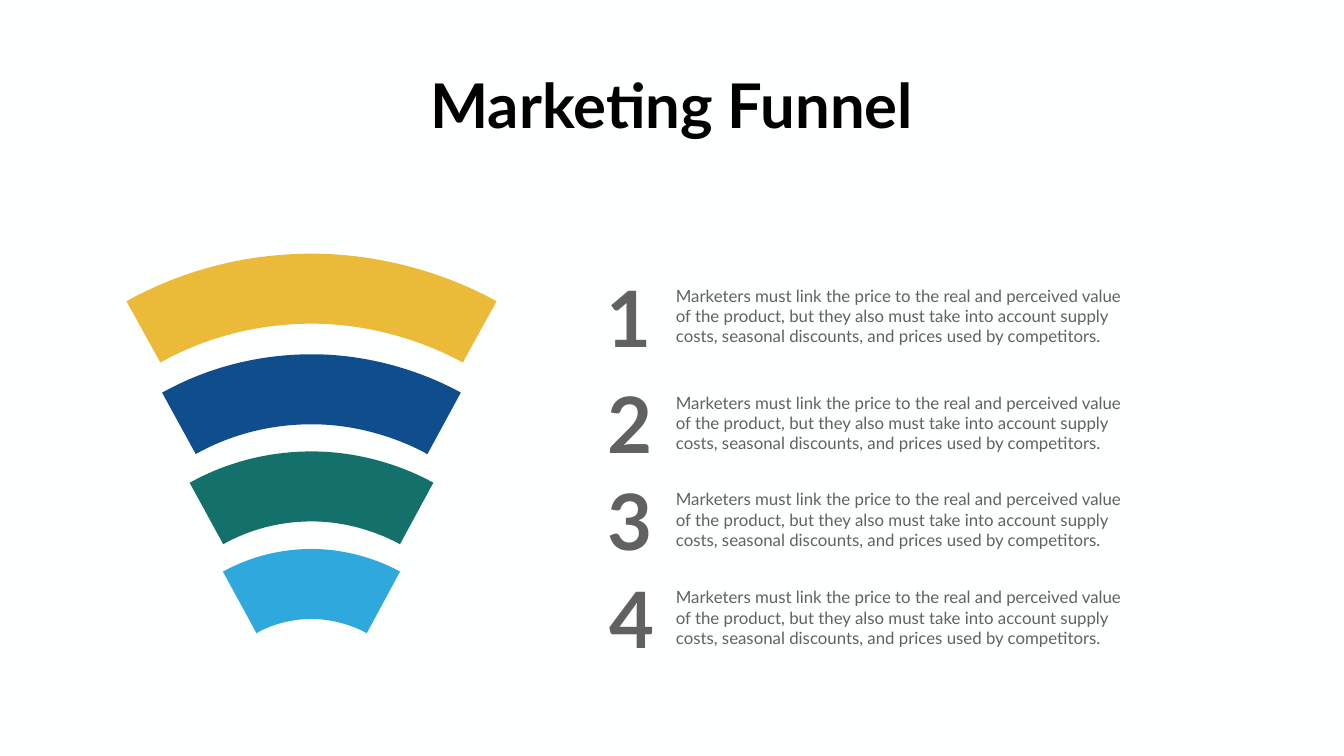
from pptx import Presentation
from pptx import util as u
from pptx.dml.color import RGBColor
from pptx.enum import text
from pptx.oxml import ns

WIDTH, HEIGHT = u.Inches(26.66), u.Inches(15)
COLUMN, ROW = WIDTH / 100, HEIGHT / 100

PAPER = RGBColor(0xFE, 0xFF, 0xFF)
BLACK = RGBColor(0x00, 0x00, 0x00)
GREY = RGBColor(0x61, 0x61, 0x61)
YELLOW = RGBColor(0xEB, 0xBA, 0x39)
BLUE = RGBColor(0x10, 0x4D, 0x8C)
GREEN = RGBColor(0x14, 0x70, 0x6A)
SKY = RGBColor(0x2F, 0xA8, 0xDE)

FONT = "Lato"
BAND_WEIGHT = u.Pt(100)
BAND_CURVE = [(0, 1), (0.08, 0.66), (0.25, 0.04), (0.49, 0.02),
              (0.73, 0), (0.92, 0.66), (1, 1)]

BANDS = [
    (38.07, 25.02, 5.83, YELLOW),
    (51.4, 19.73, 4.6, BLUE),
    (64.27, 15.64, 3.65, GREEN),
    (77.2, 10.69, 2.48, SKY),
]
STEPS = [(37.47, 44.73), (51.6, 44.8), (64.38, 44.83), (77.33, 44.97)]
STEP_TEXT = (
    "Marketers must link the price to the real and perceived value of the product, "
    "but they also must take into account supply costs, seasonal discounts, "
    "and prices used by competitors."
)


def add_text(page, words, left, top, width, height, *, size, color,
             bold=False, align=text.PP_ALIGN.LEFT, wrap=False):
    box = page.shapes.add_textbox(
        round(left * COLUMN), round(top * ROW), round(width * COLUMN), round(height * ROW))
    frame = box.text_frame
    frame.word_wrap = wrap
    frame.auto_size = text.MSO_AUTO_SIZE.SHAPE_TO_FIT_TEXT
    para = frame.paragraphs[0]
    para.alignment = align
    span = para.add_run()
    span.text = words
    span.font.name = FONT
    span.font.size = u.Pt(size)
    span.font.bold = bold
    span.font.color.rgb = color


def curve_segments(shape):
    lines = list(shape.element.iter(ns.qn("a:lnTo")))
    for first in range(0, len(lines), 3):
        group = lines[first:first + 3]
        curve = group[0].makeelement(ns.qn("a:cubicBezTo"), {})
        group[0].addprevious(curve)
        for line in group:
            curve.append(line[0])
            line.getparent().remove(line)


def add_band(page, center, top, width, height, color):
    left = center - width / 2
    points = [(round((left + x * width) * COLUMN), round((top + y * height) * ROW))
              for x, y in BAND_CURVE]
    builder = page.shapes.build_freeform(*points[0])
    builder.add_line_segments(points[1:], close=False)
    band = builder.convert_to_shape()
    curve_segments(band)
    band.shadow.inherit = False
    band.fill.background()
    band.line.color.rgb = color
    band.line.width = BAND_WEIGHT


def add_funnel(page, center):
    for top, width, height, color in BANDS:
        add_band(page, center, top, width, height, color)


def add_steps(page, left, width):
    for number, (top, number_left) in enumerate(STEPS, start=1):
        add_text(page, str(number), number_left, top - 2.17, 4.13, 13.13,
                 size=111, color=GREY, bold=True)
        add_text(page, STEP_TEXT, left, top, width, 8.73,
                 size=24, color=GREY, wrap=True)


def main():
    deck = Presentation()
    deck.slide_width, deck.slide_height = WIDTH, HEIGHT
    page = deck.slides.add_slide(deck.slide_layouts[6])
    page.background.fill.solid()
    page.background.fill.fore_color.rgb = PAPER
    add_funnel(page, center=23.18)
    add_text(page, "Marketing Funnel", 31.21, 8.53, 37.55, 10.53,
             size=88, color=BLACK, bold=True, align=text.PP_ALIGN.CENTER)
    add_steps(page, left=49.92, width=34.85)
    deck.save("out.pptx")


if __name__ == "__main__":
    main()
